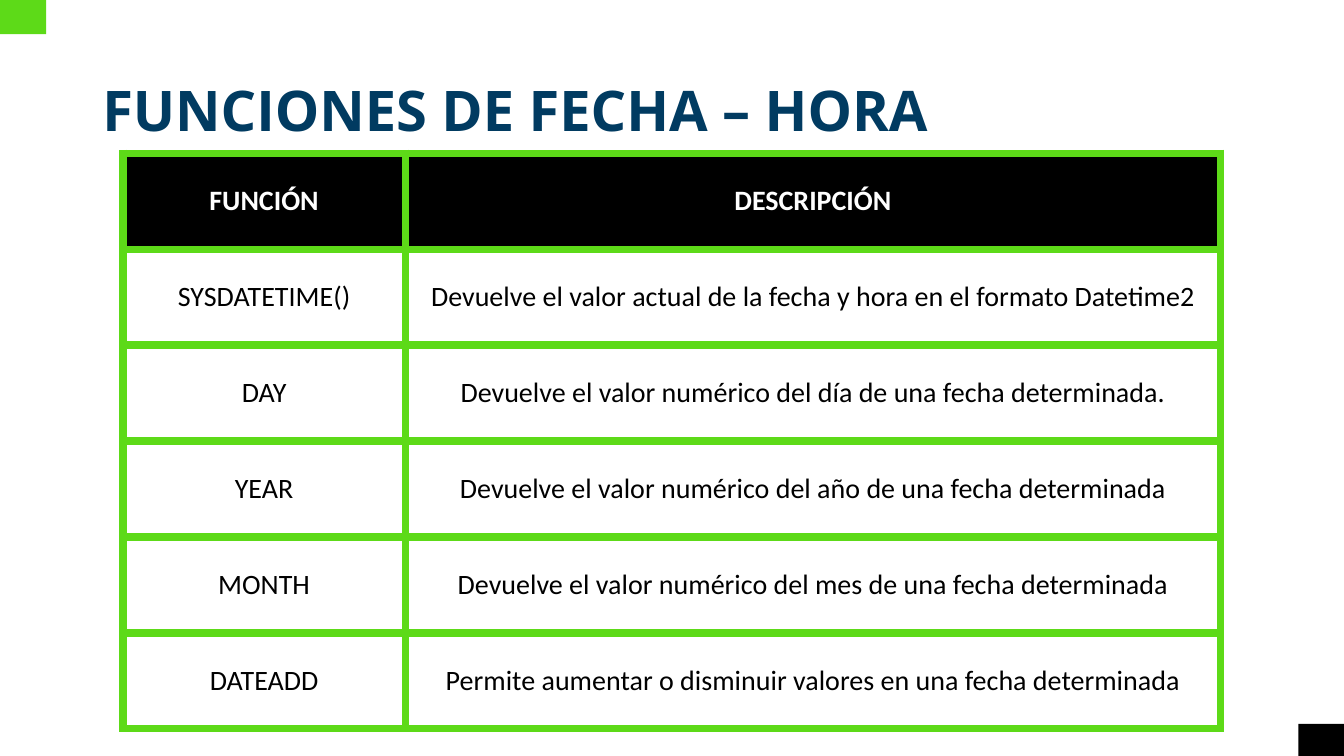
import dataclasses
import lxml.etree
import pptx
import pptx.dml.color
import pptx.enum.shapes
import pptx.enum.text
import pptx.oxml.ns
import pptx.util

Pt = pptx.util.Pt
RGB = pptx.dml.color.RGBColor.from_string
Align = pptx.enum.text.PP_ALIGN
Anchor = pptx.enum.text.MSO_ANCHOR


@dataclasses.dataclass(frozen=True)
class Theme:
    green: str = "5DDA18"
    black: str = "000000"
    white: str = "FFFFFF"
    navy: str = "013B61"
    head: str = "Open Sans"
    body: str = "Calibri"
    big: int = 40
    mid: int = 20
    rule: int = 6


THEME = Theme()

ROWS = [
    ("FUNCIÓN", "DESCRIPCIÓN"),
    ("SYSDATETIME()", "Devuelve el valor actual de la fecha y hora en el formato Datetime2"),
    ("DAY", "Devuelve el valor numérico del día de una fecha determinada."),
    ("YEAR", "Devuelve el valor numérico del año de una fecha determinada"),
    ("MONTH", "Devuelve el valor numérico del mes de una fecha determinada"),
    ("DATEADD", "Permite aumentar o disminuir valores en una fecha determinada"),
]


def write(frame, text, *, size, font, color, bold=False, align=Align.LEFT, space=1.0):
    para = frame.paragraphs[0]
    para.alignment = align
    para.line_spacing = space
    run = para.add_run()
    run.text = text
    run.font.size = Pt(size)
    run.font.name = font
    run.font.bold = bold
    run.font.color.rgb = RGB(color)


def block(slide, left, top, color):
    rect = pptx.enum.shapes.MSO_SHAPE.RECTANGLE
    shape = slide.shapes.add_shape(rect, Pt(left), Pt(top), Pt(33), Pt(24.5))
    shape.shadow.inherit = False
    shape.fill.solid()
    shape.fill.fore_color.rgb = RGB(color)
    shape.line.fill.background()


def title(slide, text):
    box = slide.shapes.add_textbox(Pt(66), Pt(28.75), Pt(828), Pt(104.4))
    frame = box.text_frame
    frame.word_wrap = True
    frame.vertical_anchor = Anchor.MIDDLE
    write(frame, text, size=THEME.big, font=THEME.head, color=THEME.navy,
          bold=True, space=0.9)


def border(cell):
    name = pptx.oxml.ns.qn
    props = cell._tc.get_or_add_tcPr()
    for side in ("a:lnL", "a:lnR", "a:lnT", "a:lnB"):
        line = lxml.etree.SubElement(props, name(side), w=str(Pt(THEME.rule)))
        fill = lxml.etree.SubElement(line, name("a:solidFill"))
        lxml.etree.SubElement(fill, name("a:srgbClr"), val=THEME.green)


def table(slide, rows, left, top, widths, height):
    frame = slide.shapes.add_table(len(rows), len(widths), Pt(left), Pt(top),
                                   Pt(sum(widths)), Pt(height * len(rows)))
    grid = frame.table
    for col, width in zip(grid.columns, widths):
        col.width = Pt(width)
    for index, texts in enumerate(rows):
        grid.rows[index].height = Pt(height)
        first = index == 0
        for cell, text in zip(grid.rows[index].cells, texts):
            border(cell)
            cell.fill.solid()
            cell.fill.fore_color.rgb = RGB(THEME.black if first else THEME.white)
            cell.vertical_anchor = Anchor.MIDDLE
            write(cell.text_frame, text, size=THEME.mid, font=THEME.body,
                  color=THEME.white if first else THEME.black,
                  bold=first, align=Align.CENTER)


def main():
    deck = pptx.Presentation()
    deck.slide_width = Pt(960)
    deck.slide_height = Pt(540)
    slide = deck.slides.add_slide(deck.slide_layouts[6])
    block(slide, 0, 0, THEME.green)
    block(slide, 927.5, 517, THEME.black)
    title(slide, "FUNCIONES DE FECHA – HORA")
    table(slide, ROWS, 87.85, 109.6, (201.6, 582.5), 68.5)
    deck.save("out.pptx")


if __name__ == "__main__":
    main()
